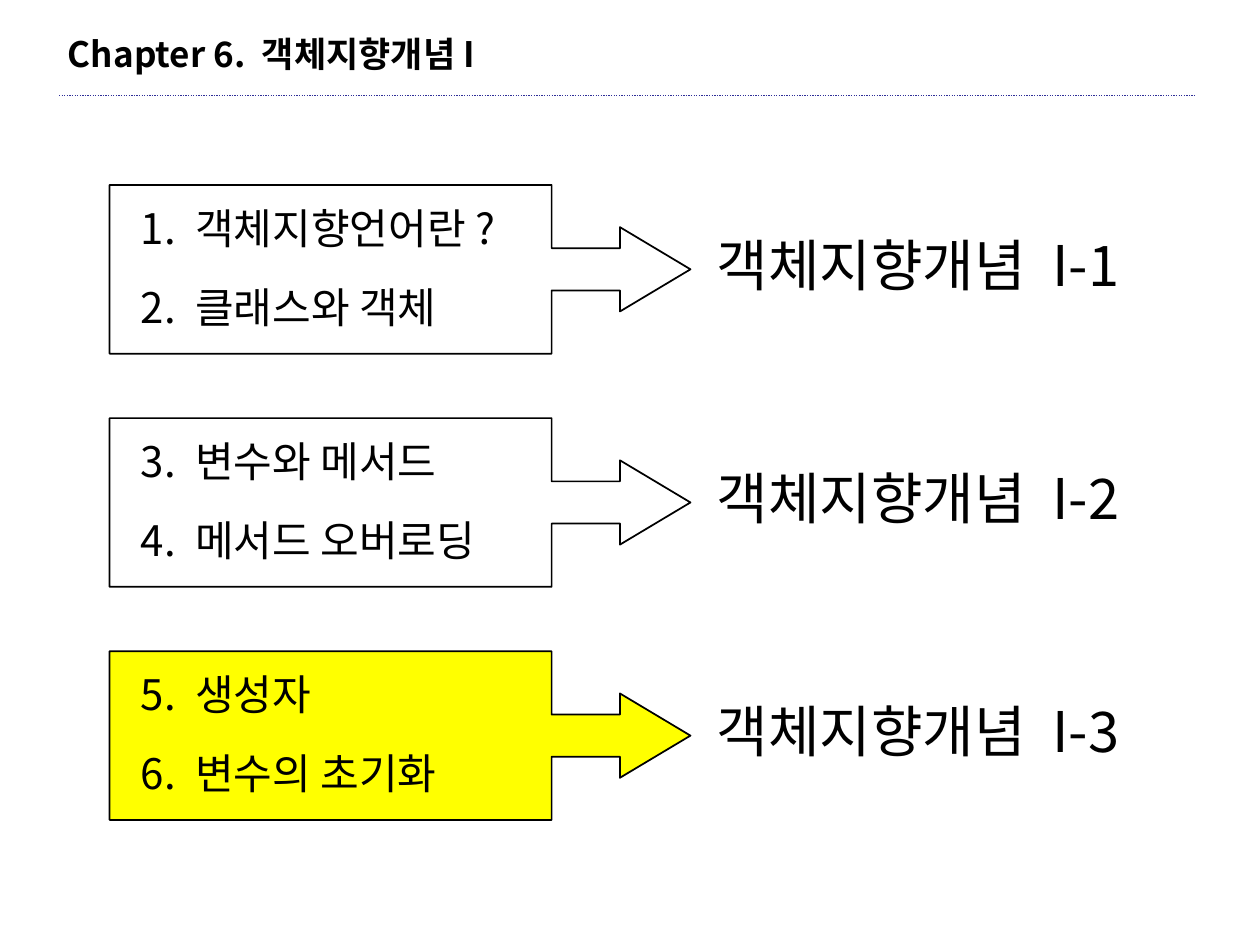
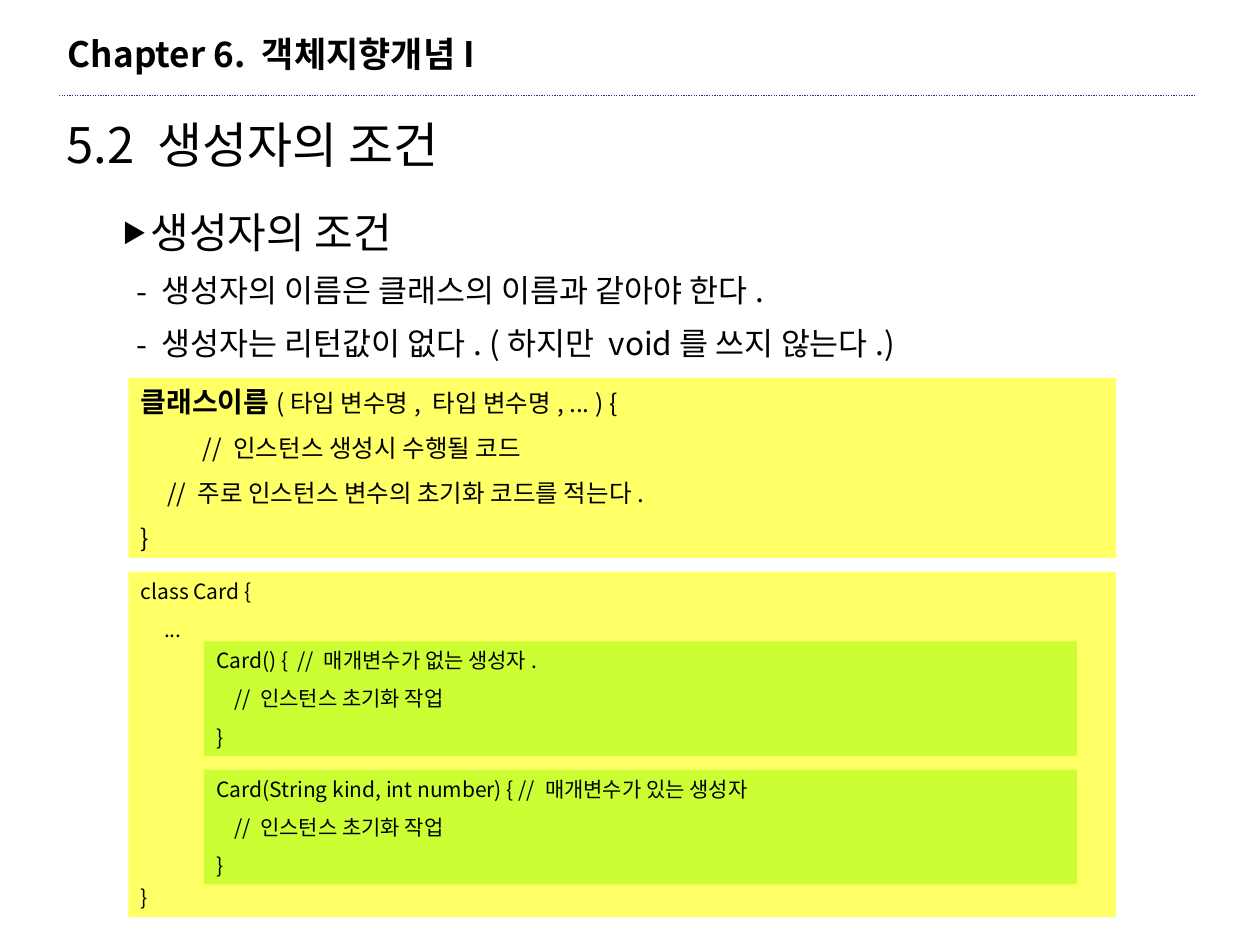
"""Build two lecture slides on constructors, with a shared chapter header."""
from lxml import etree
from pptx import Presentation
from pptx.dml.color import RGBColor
from pptx.enum import dml, shapes, text
from pptx.oxml.ns import qn
from pptx.util import Cm, Pt

FONT = "Noto Sans CJK KR"
COLORS = {
    "ink": "000000",
    "rule": "2F2F98",
    "current": "FFFF00",
    "code": "FFFF66",
    "constructor": "CCFF33",
}


def write(frame, lines):
    """Fill a frame with (wording, size, space before, left indent) lines."""
    frame.word_wrap = True
    frame.auto_size = text.MSO_AUTO_SIZE.NONE
    frame.vertical_anchor = text.MSO_ANCHOR.TOP
    for number, (wording, size, before, indent) in enumerate(lines):
        line = frame.add_paragraph() if number else frame.paragraphs[0]
        line.text = wording
        line.alignment = text.PP_ALIGN.LEFT
        line.space_before = Pt(before)
        line.font.name = FONT
        line.font.size = Pt(size)
        line.font.color.rgb = RGBColor.from_string(COLORS["ink"])
        props = line._p.pPr
        props.set("marL", str(Cm(indent)))
        props.set("indent", "0")
        etree.SubElement(props.find(qn("a:defRPr")), qn("a:ea"), typeface=FONT)


def add_block(slide, kind, box, fill=None, outline=None):
    """Add a preset shape with an optional fill and outline."""
    block = slide.shapes.add_shape(kind, *map(Cm, box))
    block.shadow.inherit = False
    if fill:
        block.fill.solid()
        block.fill.fore_color.rgb = RGBColor.from_string(COLORS[fill])
    else:
        block.fill.background()
    if outline:
        block.line.color.rgb = RGBColor.from_string(COLORS[outline])
        block.line.width = Pt(1)
    else:
        block.line.fill.background()
    return block


deck = Presentation()
deck.slide_width, deck.slide_height = Cm(25.4), Cm(19.05)
overview = deck.slides.add_slide(deck.slide_layouts[6])
conditions = deck.slides.add_slide(deck.slide_layouts[1])

rule = overview.shapes.add_connector(
    shapes.MSO_CONNECTOR.STRAIGHT, Cm(1.19), Cm(1.93), Cm(24.1), Cm(1.93))
rule.line.color.rgb = RGBColor.from_string(COLORS["rule"])
rule.line.width = Pt(0.75)
rule.line.dash_style = dml.MSO_LINE.ROUND_DOT
etree.SubElement(rule.element.spPr, qn("a:effectLst"))
chapter = overview.shapes.add_textbox(Cm(1.12), Cm(0.53), Cm(10.6), Cm(1.12))
write(chapter.text_frame, [("Chapter 6. 객체지향개념I", 20, 0, 0)])
chapter.text_frame.paragraphs[0].font.bold = True
for shape_id, shared in enumerate((rule, chapter), start=101):
    shared.element.xpath(".//p:cNvPr")[0].set("id", str(shape_id))
    deck.slide_master.shapes.element.append(shared.element)

parts = [
    ("객체지향개념 I-1", ["1. 객체지향언어란?", "2. 클래스와 객체"], None),
    ("객체지향개념 I-2", ["3. 변수와 메서드", "4. 메서드 오버로딩"], None),
    ("객체지향개념 I-3", ["5. 생성자", "6. 변수의 초기화"], "current"),
]
for row, (part, topics, fill) in enumerate(parts):
    top = 3.73 + 4.7 * row
    callout = add_block(overview, shapes.MSO_SHAPE.RIGHT_ARROW_CALLOUT,
                        (2.21, top, 11.71, 3.4), fill, "ink")
    for index, ratio in enumerate((0.25, 0.25, 0.418, 0.761)):
        callout.adjustments[index] = ratio
    for index, topic in enumerate(topics):
        entry = overview.shapes.add_textbox(
            Cm(2.59), Cm(top + 0.23 + 1.59 * index), Cm(9), Cm(1.27))
        write(entry.text_frame, [(topic, 24, 0, 0)])
    label = overview.shapes.add_textbox(Cm(14.2), Cm(top + 0.79), Cm(10.9), Cm(1.63))
    write(label.text_frame, [(part, 32, 0, 0)])

heading, rules = conditions.placeholders
heading.left, heading.top, heading.width, heading.height = map(Cm, (1.09, 2.18, 23.8, 1.45))
write(heading.text_frame, [("5.2 생성자의 조건", 28, 0, 0)])
rules.left, rules.top, rules.width, rules.height = map(Cm, (2.21, 4.04, 22.7, 3.4))
write(rules.text_frame, [
    ("생성자의 조건", 24, 0, 0.57),
    ("생성자의 이름은 클래스의 이름과 같아야 한다.", 18, 8, 0.8),
    ("생성자는 리턴값이 없다. (하지만 void를 쓰지 않는다.)", 18, 8.6, 0.8),
])
bullets = [("▶", 58, 0.57), ("-", 100, 0.52), ("-", 100, 0.52)]
for line, (mark, percent, hanging) in zip(rules.text_frame.paragraphs, bullets):
    props = line._p.pPr
    props.set("indent", str(-Cm(hanging)))
    defaults = props.find(qn("a:defRPr"))
    for tag, name, value in (("a:buSzPct", "val", str(percent * 1000)),
                             ("a:buFont", "typeface", FONT),
                             ("a:buChar", "char", mark)):
        defaults.addprevious(etree.Element(qn(tag), {name: value}))

syntax = add_block(conditions, shapes.MSO_SHAPE.RECTANGLE, (2.59, 7.62, 19.91, 3.63), "code")
write(syntax.text_frame, [
    ("클래스이름", 14, 0, 0),
    ("// 인스턴스 생성시 수행될 코드", 14, 8.8, 1.25),
    ("// 주로 인스턴스 변수의 초기화 코드를 적는다.", 14, 8.8, 0.53),
    ("}", 14, 8.8, 0),
])
signature = syntax.text_frame.paragraphs[0]
signature.runs[0].font.size = Pt(16)
signature.runs[0].font.bold = True
signature.add_run().text = "(타입 변수명, 타입 변수명, ... ) {"

card_class = add_block(conditions, shapes.MSO_SHAPE.RECTANGLE, (2.59, 11.53, 19.91, 6.96), "code")
write(card_class.text_frame, [
    ("class Card {", 12, 0, 0),
    ("...", 12, 7.5, 0.47),
    ("}", 12, 138.9, 0),
])
constructors = ["Card() {  // 매개변수가 없는 생성자.",
                "Card(String kind, int number) { // 매개변수가 있는 생성자"]
for row, opening in enumerate(constructors):
    constructor = add_block(conditions, shapes.MSO_SHAPE.RECTANGLE,
                            (4.11, 12.93 + 2.59 * row, 17.6, 2.31), "constructor")
    write(constructor.text_frame, [
        (opening, 12, 0, 0),
        ("// 인스턴스 초기화 작업", 12, 7.5, 0.36),
        ("}", 12, 7.5, 0),
    ])

deck.save("out.pptx")
